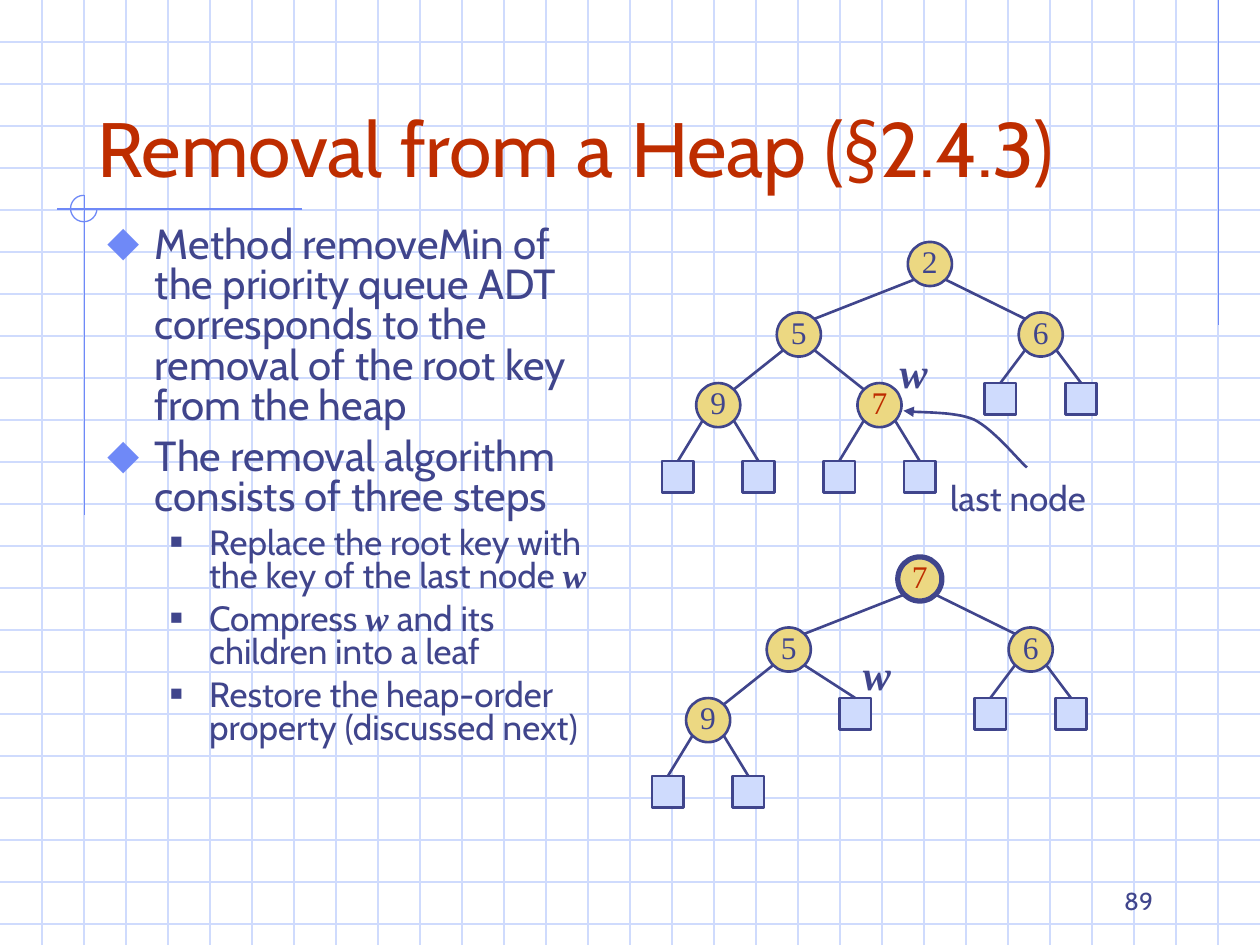
from dataclasses import dataclass

from lxml import etree
from pptx import Presentation
from pptx import util as u
from pptx.dml.color import RGBColor
from pptx.enum import shapes, text
from pptx.oxml.ns import qn

WIDTH, HEIGHT = 10, 7.5
CELL = 1 / 3
COLUMN = 0.16
ROW_TOPS = (0, 0.56, 1.12, 1.74)
CIRCLE, SQUARE, CORNER = 0.35, 0.25, 0.125
INK, RED, BLUE, PALE, GOLD = "40458C", "BE2D00", "6F89F7", "CFDBFD", "ECD882"
SANS, SERIF = "Cabin", "Times New Roman"


@dataclass(frozen=True)
class Node:
    """A heap node: a labelled circle, or an empty square leaf."""
    column: float
    key: str = ""
    children: tuple["Node", ...] = ()
    color: str = INK
    weight: float = 1.5


@dataclass(frozen=True)
class Level:
    """The format of one bullet level."""
    size: float
    indent: float
    hanging: float
    before: float
    mark: str
    mark_color: str
    mark_percent: int


LEVELS = (Level(24, 0.38, 0.38, 6, "⬥", BLUE, 110), Level(20, 0.81, 0.31, 5, "■", INK, 60))
POINTS = (
    (0, ("Method removeMin of the priority queue ADT corresponds to the "
         "removal of the root key from the heap",)),
    (0, ("The removal algorithm consists of three steps",)),
    (1, ("Replace the root key with the key of the last node ", "w")),
    (1, ("Compress ", "w", " and its children into a leaf")),
    (1, ("Restore the heap-order property (discussed next)",)),
)
NINE = Node(2, "9", (Node(0), Node(4)))
SEVEN = Node(10, "7", (Node(8), Node(12)), RED)
SIX = Node(18, "6", (Node(16), Node(20)))
BEFORE = Node(12.5, "2", (Node(6, "5", (NINE, SEVEN)), SIX))
AFTER = Node(12.5, "7", (Node(6, "5", (NINE, Node(9.3))), SIX), RED, 3)


def rgb(color: str) -> RGBColor:
    """Turn a hex string into a colour."""
    return RGBColor.from_string(color)


def write(para, words: str, *, size: float, color: str = INK, font: str = SANS,
          strong: bool = False) -> None:
    """Add a formatted span; strong means bold italic."""
    span = para.add_run()
    span.text = words
    span.font.size, span.font.name = u.Pt(size), font
    span.font.bold = span.font.italic = strong
    span.font.color.rgb = rgb(color)


def place(shape, left: float, top: float, width: float, height: float) -> None:
    """Set a shape's position and size in inches."""
    shape.left, shape.top = u.Inches(left), u.Inches(top)
    shape.width, shape.height = u.Inches(width), u.Inches(height)


def label(page, words: str, at: tuple, *, align=text.PP_ALIGN.CENTER, **style) -> None:
    """Add a one-line text box."""
    frame = page.shapes.add_textbox(*map(u.Inches, at)).text_frame
    frame.word_wrap = False
    frame.paragraphs[0].alignment = align
    write(frame.paragraphs[0], words, **style)


def line(page, start: tuple, end: tuple, color: str, weight: float):
    """Add a straight connector without shadow."""
    link = page.shapes.add_connector(
        shapes.MSO_CONNECTOR.STRAIGHT, *map(u.Inches, (*start, *end)))
    link.line.color.rgb, link.line.width = rgb(color), u.Pt(weight)
    etree.SubElement(link._element.spPr, qn("a:effectLst"))
    return link


def outline(shape, color: str, weight: float, fill: str = "") -> None:
    """Set a shape's line and fill, and remove its shadow."""
    shape.shadow.inherit = False
    shape.line.color.rgb, shape.line.width = rgb(color), u.Pt(weight)
    if fill:
        shape.fill.solid()
        shape.fill.fore_color.rgb = rgb(fill)
    else:
        shape.fill.background()


def draw_backdrop(page) -> None:
    """Draw the squared paper and the accent lines."""
    for row in range(1, 23):
        line(page, (0, row * CELL), (WIDTH, row * CELL), PALE, 0.75)
    for column in range(1, 30):
        line(page, (column * CELL, 0), (column * CELL, HEIGHT), PALE, 0.75)
    for start, end in (((9.67, 0), (9.67, 2.58)), ((2.4, 1.66), (0.45, 1.66)),
                       ((0.67, 1.55), (0.67, 4.09))):
        line(page, start, end, BLUE, 0.75)
    arc = page.shapes.add_shape(
        shapes.MSO_SHAPE.ARC, *map(u.Inches, (0.56, 1.55, 0.21, 0.21)))
    arc.adjustments[0], arc.adjustments[1] = 0, 162
    outline(arc, BLUE, 0.75)


def draw_tree(page, node: Node, left: float, top: float, depth: int = 0):
    """Draw a node with its subtree and edges; return its shape and centre."""
    size = CIRCLE if node.key else SQUARE
    x, y = left + node.column * COLUMN, top + ROW_TOPS[depth] + size / 2
    kind = shapes.MSO_SHAPE.OVAL if node.key else shapes.MSO_SHAPE.RECTANGLE
    shape = page.shapes.add_shape(
        kind, *map(u.Inches, (x - size / 2, y - size / 2, size, size)))
    outline(shape, INK, node.weight, GOLD if node.key else PALE)
    if node.key:
        frame = shape.text_frame
        frame.margin_left = frame.margin_right = frame.margin_top = 0
        frame.margin_bottom = u.Inches(0.05)
        frame.word_wrap, frame.vertical_anchor = False, text.MSO_ANCHOR.MIDDLE
        frame.paragraphs[0].alignment = text.PP_ALIGN.CENTER
        write(frame.paragraphs[0], node.key, size=18, color=node.color, font=SERIF)
    for child in node.children:
        target, child_x, child_y = draw_tree(page, child, left, top, depth + 1)
        side = CORNER if child_x > x else -CORNER
        end = (child_x - side, child_y - CORNER) if child.key else (child_x, child_y)
        edge = line(page, (x + side, y + CORNER), end, INK, 1.5)
        if not child.key:
            edge.end_connect(target, 0)
    return shape, x, y


def bezier(points: tuple, steps: int = 16) -> list:
    """Sample a cubic curve, leaving out its start."""
    a, b, c, d = points
    return [tuple(u.Inches((1 - t) ** 3 * p + 3 * (1 - t) ** 2 * t * q
                           + 3 * (1 - t) * t * t * r + t ** 3 * s)
                  for p, q, r, s in zip(a, b, c, d))
            for t in (step / steps for step in range(1, steps + 1))]


def draw_pointer(page) -> None:
    """Draw the curved arrow to the last node."""
    start, bend = (8.15, 3.71), (7.73, 3.33)
    builder = page.shapes.build_freeform(*map(u.Inches, start))
    builder.add_line_segments(
        bezier((start, (8.08, 3.65), (7.89, 3.41), bend))
        + bezier((bend, (7.57, 3.26), (7.28, 3.28), (7.17, 3.26))), close=False)
    curve = builder.convert_to_shape()
    outline(curve, INK, 1.5)
    etree.SubElement(curve.line._get_or_add_ln(), qn("a:tailEnd"), type="triangle")


def add_point(para, depth: int, spans: tuple, first: bool) -> None:
    """Fill one bullet paragraph; the word w is set as a variable."""
    level = LEVELS[depth]
    para.level, para.line_spacing = depth, 0.8
    para.space_before = u.Pt(0 if first else level.before)
    props = para._p.get_or_add_pPr()
    props.set("marL", str(u.Inches(level.indent)))
    props.set("indent", str(-u.Inches(level.hanging)))
    tint = etree.SubElement(props, qn("a:buClr"))
    etree.SubElement(tint, qn("a:srgbClr"), val=level.mark_color)
    etree.SubElement(props, qn("a:buSzPct"), val=str(level.mark_percent * 1000))
    etree.SubElement(props, qn("a:buChar"), char=level.mark)
    for words in spans:
        variable = words == "w"
        write(para, words, size=level.size, font=SERIF if variable else SANS, strong=variable)


def fill_placeholders(page) -> None:
    """Place the title and the list above the backdrop."""
    title, body = page.shapes.title, page.placeholders[1]
    place(title, 0.67, 0.33, 8.5, 1.25)
    place(body, 0.75, 1.75, 4.25, 5)
    for holder in (title, body):
        holder.text_frame.auto_size = text.MSO_AUTO_SIZE.NONE
        holder.element.getparent().append(holder.element)
    title.text_frame.vertical_anchor = text.MSO_ANCHOR.BOTTOM
    heading = title.text_frame.paragraphs[0]
    heading.alignment = text.PP_ALIGN.LEFT
    write(heading, "Removal from a Heap (§2.4.3)", size=44, color=RED)
    for index, (depth, spans) in enumerate(POINTS):
        frame = body.text_frame
        para = frame.add_paragraph() if index else frame.paragraphs[0]
        add_point(para, depth, spans, index == 0)


def main() -> None:
    """Build and save the slide."""
    deck = Presentation()
    deck.slide_width, deck.slide_height = u.Inches(WIDTH), u.Inches(HEIGHT)
    page = deck.slides.add_slide(deck.slide_layouts[1])
    draw_backdrop(page)
    fill_placeholders(page)
    draw_tree(page, BEFORE, 5.38, 1.92)
    draw_tree(page, AFTER, 5.3, 4.42)
    draw_pointer(page)
    label(page, "last node", (7.38, 3.73, 1.4, 0.44), size=20)
    for left, top in ((7.04, 2.7), (6.75, 5.1)):
        label(page, "w", (left, top, 0.42, 0.5), size=24, font=SERIF, strong=True)
    label(page, "89", (7.17, 6.98, 2.08, 0.35), align=text.PP_ALIGN.RIGHT, size=14)
    deck.save("out.pptx")


if __name__ == "__main__":
    main()
